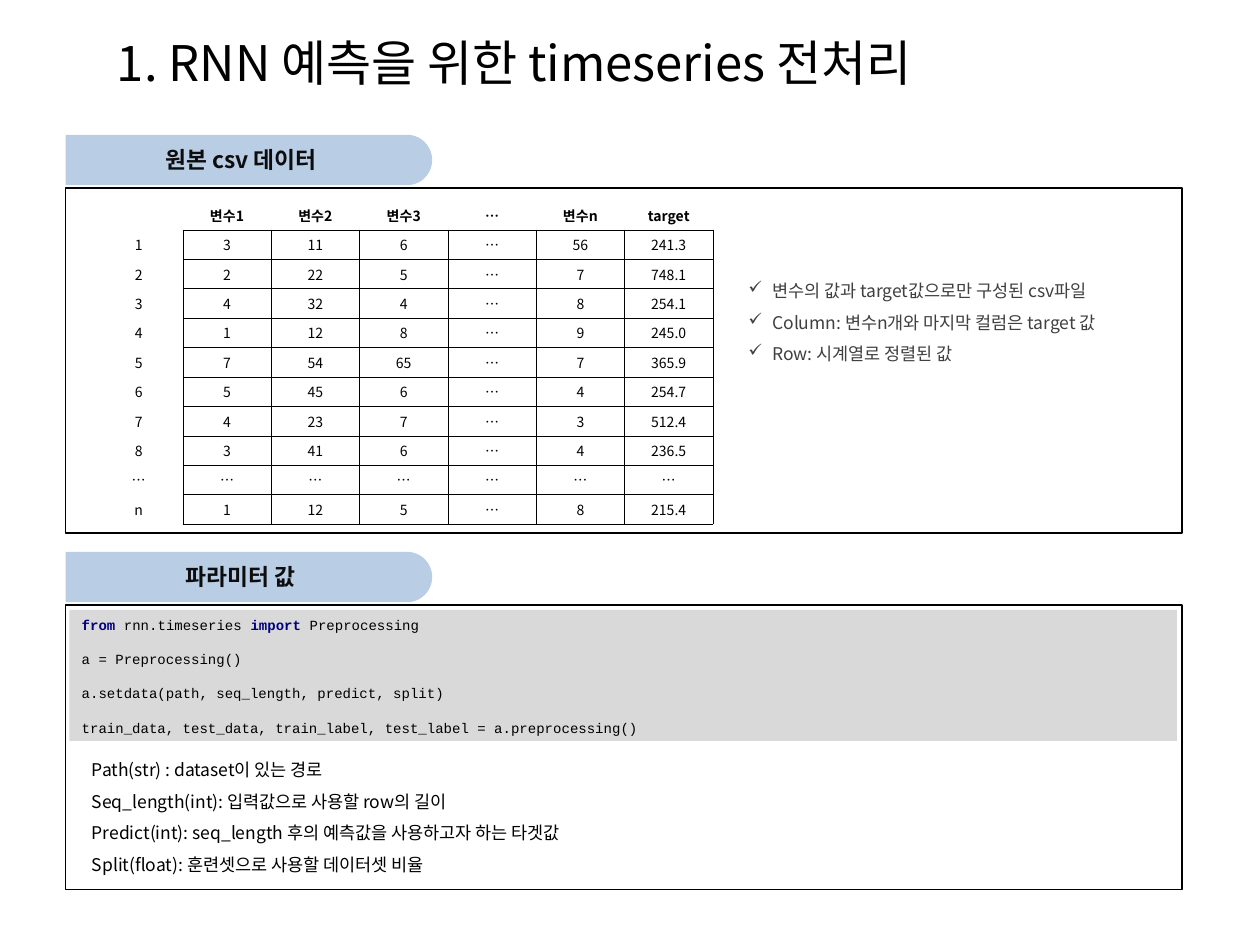
import dataclasses

import pptx
import pptx.dml.color
import pptx.enum.shapes
import pptx.enum.text
import pptx.oxml
import pptx.oxml.ns
import pptx.util
from lxml import etree

Inches = pptx.util.Inches
Pt = pptx.util.Pt
Shape = pptx.enum.shapes.MSO_SHAPE
Align = pptx.enum.text.PP_ALIGN
Anchor = pptx.enum.text.MSO_ANCHOR
qn = pptx.oxml.ns.qn


@dataclasses.dataclass(frozen=True)
class Theme:
    sans: str = "Noto Sans CJK KR"
    mono: str = "Courier New"
    ink: str = "000000"
    head: str = "0D0D0D"
    note: str = "404040"
    key: str = "000080"
    tab: str = "B9CDE5"
    code: str = "D9D9D9"
    title: int = 28
    label: int = 13
    body: int = 10
    small: int = 8


THEME = Theme()

HEADS = ["", "변수1", "변수2", "변수3", "…", "변수n", "target"]
ROWS = [
    ["1", "3", "11", "6", "…", "56", "241.3"],
    ["2", "2", "22", "5", "…", "7", "748.1"],
    ["3", "4", "32", "4", "…", "8", "254.1"],
    ["4", "1", "12", "8", "…", "9", "245.0"],
    ["5", "7", "54", "65", "…", "7", "365.9"],
    ["6", "5", "45", "6", "…", "4", "254.7"],
    ["7", "4", "23", "7", "…", "3", "512.4"],
    ["8", "3", "41", "6", "…", "4", "236.5"],
    ["…"] * 7,
    ["n", "1", "12", "5", "…", "8", "215.4"],
]
NOTES = [
    "변수의 값과 target값으로만 구성된 csv파일",
    "Column: 변수n개와 마지막 컬럼은 target 값",
    "Row: 시계열로 정렬된 값",
]
# Each code line is a list of (text, is keyword)
CODE = [
    [("from ", True), ("rnn.timeseries ", False), ("import ", True), ("Preprocessing", False)],
    [("a = Preprocessing()", False)],
    [("a.setdata(path, seq_length, predict, split)", False)],
    [("train_data, test_data, train_label, test_label = a.preprocessing()", False)],
]
PARAMS = [
    "Path(str) : dataset이 있는 경로",
    "Seq_length(int): 입력값으로 사용할 row의 길이",
    "Predict(int): seq_length 후의 예측값을 사용하고자 하는 타겟값",
    "Split(float): 훈련셋으로 사용할 데이터셋 비율",
]


def rgb(color):
    return pptx.dml.color.RGBColor.from_string(color)


def style(font, size, color, bold=False, face=THEME.sans):
    font.size, font.bold = Pt(size), bold
    font.color.rgb = rgb(color)
    font.name = face
    etree.SubElement(font._element, qn("a:ea"), typeface=face)


def add_box(slide, kind, x, y, w, h, fill=None, line=None):
    box = slide.shapes.add_shape(kind, Inches(x), Inches(y), Inches(w), Inches(h))
    box.shadow.inherit = False
    if fill:
        box.fill.solid()
        box.fill.fore_color.rgb = rgb(fill)
    else:
        box.fill.background()
    if line:
        box.line.color.rgb = rgb(line)
        box.line.width = Pt(1)
    else:
        box.line.fill.background()
    return box


def set_pads(frame, pad):
    frame.margin_left = frame.margin_right = Inches(pad)
    frame.margin_top = frame.margin_bottom = Inches(pad)


def add_lines(slide, lines, x, y, w, h, color, mark=None):
    """Body text, one paragraph a line, with an optional bullet mark."""
    frame = slide.shapes.add_textbox(Inches(x), Inches(y), Inches(w), Inches(h)).text_frame
    frame.word_wrap = True
    set_pads(frame, 0)
    frame.text = "\n".join(lines)
    for para in frame.paragraphs:
        para.line_spacing = 1.5
        style(para.font, THEME.body, color)
        if mark:
            props = para._p.get_or_add_pPr()
            props.set("marL", str(Inches(0.19)))
            props.set("indent", str(-Inches(0.19)))
            bullet = etree.Element(qn("a:buChar"), char=mark)
            props.find(qn("a:defRPr")).addprevious(bullet)


def add_title(slide, x, y, w, h):
    frame = slide.shapes.add_textbox(Inches(x), Inches(y), Inches(w), Inches(h)).text_frame
    frame.word_wrap = True
    frame.vertical_anchor = Anchor.MIDDLE
    frame.text = "1. RNN 예측을 위한 timeseries 전처리"
    style(frame.paragraphs[0].font, THEME.title, THEME.ink)


def add_panel(slide, label, x, y, w, h):
    """Framed panel with a tab, rounded at its right end, above it."""
    add_box(slide, Shape.RECTANGLE, x, y, w, h, line=THEME.ink)
    long, high = 2.91, 0.4
    top, shift = y - 0.42, (long - high) / 2
    tab = add_box(slide, Shape.ROUND_2_SAME_RECTANGLE,
                  x + shift, top - shift, high, long, THEME.tab)
    tab.rotation = 90
    tab.adjustments[0], tab.adjustments[1] = 0.5, 0
    face = add_box(slide, Shape.RECTANGLE, x + 0.02, top + 0.01, 2.74, 0.37, THEME.tab)
    set_pads(face.text_frame, 0)
    face.text_frame.text = label
    face.text_frame.vertical_anchor = Anchor.MIDDLE
    para = face.text_frame.paragraphs[0]
    para.alignment = Align.CENTER
    style(para.font, THEME.label, THEME.head, True)


def set_edge(cell, side, shown):
    line = etree.Element(qn("a:" + side), w=str(Pt(0.25)))
    if shown:
        fill = etree.SubElement(line, qn("a:solidFill"))
        etree.SubElement(fill, qn("a:srgbClr"), val=THEME.ink)
    else:
        etree.SubElement(line, qn("a:noFill"))
    return line


def add_grid(slide, x, y, w, h):
    """Data table: only the value cells are ruled."""
    data = [HEADS] + ROWS
    table = slide.shapes.add_table(len(data), len(HEADS), Inches(x), Inches(y),
                                   Inches(w), Inches(h)).table
    table.first_row = table.horz_banding = False
    for r, row in enumerate(data):
        for c, text in enumerate(row):
            cell = table.cell(r, c)
            set_pads(cell, 0.02)
            cell.vertical_anchor = Anchor.MIDDLE
            cell.text = text
            para = cell.text_frame.paragraphs[0]
            para.alignment = Align.CENTER
            style(para.font, THEME.small, THEME.ink, r == 0)
            value = r > 0 and c > 0
            edges = {"lnL": value, "lnR": r > 0, "lnT": value, "lnB": c > 0}
            cell.fill.background()
            props = cell._tc.get_or_add_tcPr()
            for spot, (side, shown) in enumerate(edges.items()):
                props.insert(spot, set_edge(cell, side, shown))


def add_code(slide, x, y, w, h):
    frame = add_box(slide, Shape.RECTANGLE, x, y, w, h, THEME.code).text_frame
    frame.word_wrap = True
    frame.vertical_anchor = Anchor.TOP
    for i, parts in enumerate(CODE):
        para = frame.add_paragraph() if i else frame.paragraphs[0]
        para.alignment = Align.LEFT
        para.space_before = Pt(10.1 if i else 0)
        for text, key in parts:
            run = para.add_run()
            run.text = text
            style(run.font, THEME.small, THEME.key if key else THEME.ink, key, THEME.mono)


def add_data(slide, x, y, w, h):
    add_panel(slide, "원본 csv 데이터", x, y, w, h)
    add_grid(slide, x + 0.23, y + 0.1, 4.91, 2.57)
    add_lines(slide, NOTES, x + 5.42, y + 0.65, 3.13, 0.76, THEME.note, "✓")


def add_params(slide, x, y, w, h):
    add_panel(slide, "파라미터 값", x, y, w, h)
    add_code(slide, x + 0.03, y + 0.04, w - 0.07, 1.04)
    add_lines(slide, PARAMS, x + 0.21, y + 1.14, w - 0.43, 1.01, THEME.ink)


def main():
    deck = pptx.Presentation()
    deck.slide_width, deck.slide_height = Inches(10), Inches(7.5)
    slide = deck.slides.add_slide(deck.slide_layouts[6])
    add_title(slide, 0.83, 0.21, 7.48, 0.57)
    add_data(slide, 0.52, 1.49, 8.86, 2.74)
    add_params(slide, 0.52, 4.8, 8.86, 2.26)
    deck.save("out.pptx")


if __name__ == "__main__":
    main()
